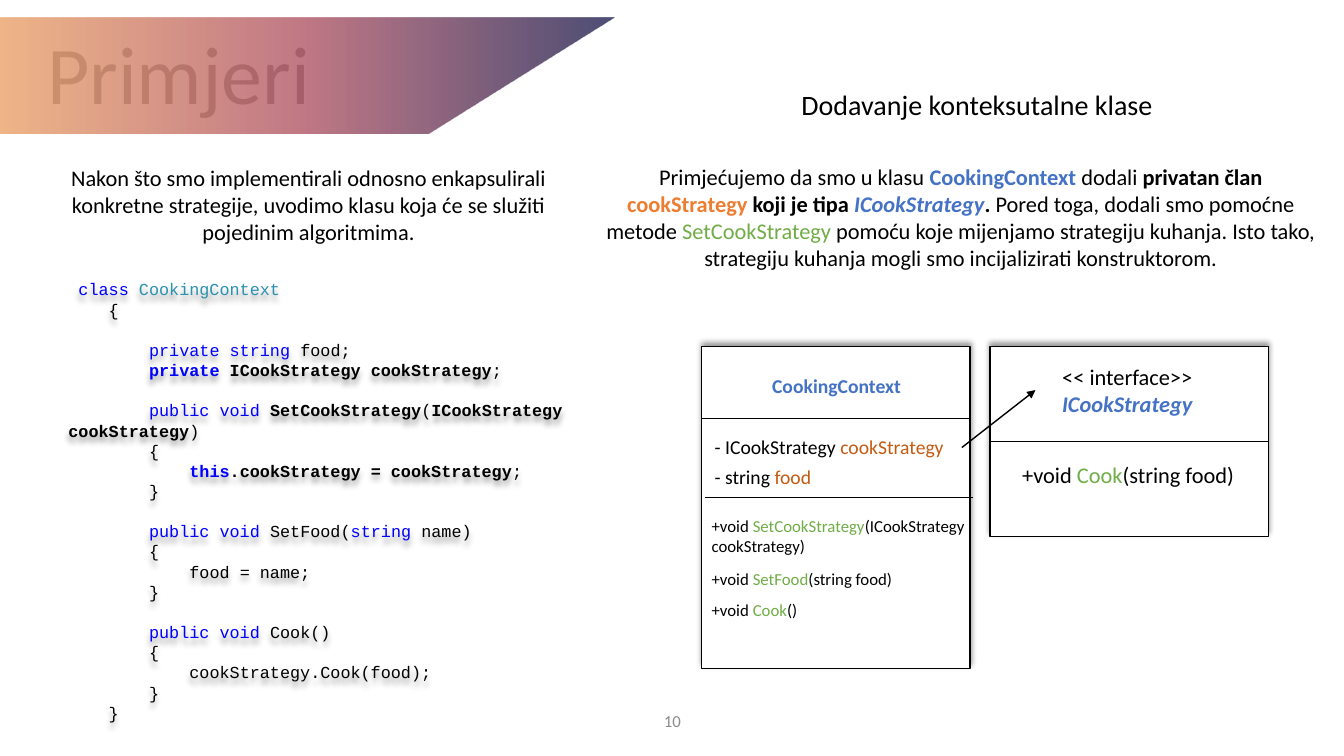
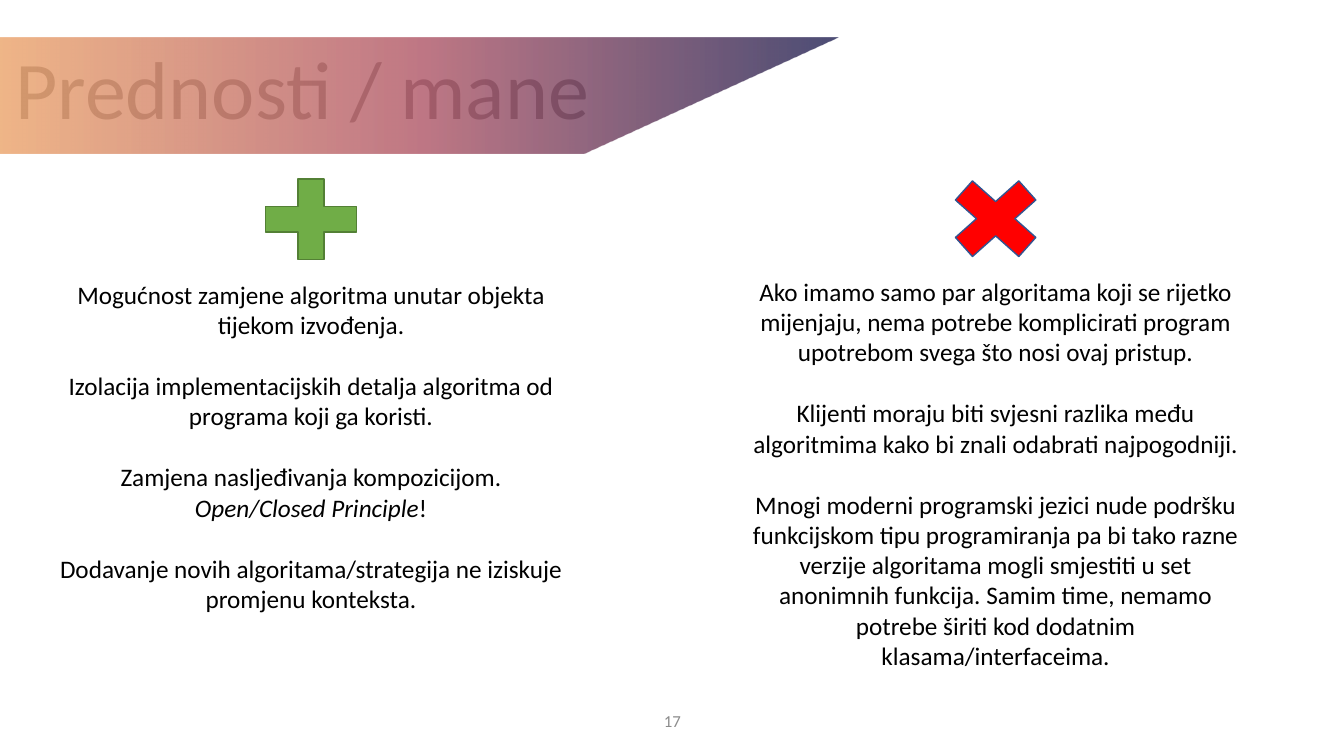
from pptx import Presentation
from pptx.dml.color import RGBColor
from pptx.enum.shapes import MSO_CONNECTOR, MSO_SHAPE
from pptx.enum.text import MSO_ANCHOR, MSO_AUTO_SIZE, PP_ALIGN
from pptx.oxml import parse_xml
from pptx.oxml.ns import nsdecls, qn
from pptx.util import Emu, Pt

PX = 9144  # 100 px to the inch
SLIDE_WIDTH, SLIDE_HEIGHT = 1333, 750
BODY_FONT, CODE_FONT = "Calibri", "Courier New"
CHAR_WIDTH = 10  # one 12 pt code character
CODE_LINE = Pt(14.4)

BLACK = RGBColor(0x00, 0x00, 0x00)
WHITE = RGBColor(0xFF, 0xFF, 0xFF)
TITLE_GRAY = RGBColor(0xA5, 0xA5, 0xA5)
NUMBER_GRAY = RGBColor(0x8C, 0x8C, 0x8C)
GREEN = RGBColor(0x70, 0xAD, 0x47)
DARK_GREEN = RGBColor(0x53, 0x80, 0x35)
BLUE = RGBColor(0x44, 0x72, 0xC4)
DARK_BLUE = RGBColor(0x32, 0x54, 0x91)
ORANGE = RGBColor(0xED, 0x7D, 0x31)
BROWN = RGBColor(0xC5, 0x5A, 0x11)
RED = RGBColor(0xFF, 0x00, 0x00)
KEYWORD = RGBColor(0x00, 0x00, 0xFF)
TYPE_NAME = RGBColor(0x2B, 0x91, 0xAF)
BAND_STOPS = (
    (0, RGBColor(0x01, 0x02, 0x3B)),
    (50, RGBColor(0xA5, 0x3F, 0x52)),
    (100, RGBColor(0xE9, 0x97, 0x57)),
)

# A span is plain text or (text, colour, marks), with marks from "b" and "i"
INTRO = ("Nakon što smo implementirali odnosno enkapsulirali konkretne strategije, "
         "uvodimo klasu koja će se služiti pojedinim algoritmima.")
EXPLANATION = [
    "Primjećujemo da smo u klasu ", ("CookingContext ", BLUE, "b"), "dodali ",
    ("privatan član ", BLACK, "b"), ("cookStrategy", ORANGE, "b"),
    (" koji je tipa ", BLACK, "b"), ("ICookStrategy", BLUE, "bi"),
    (".", BLACK, "b"), " Pored toga, dodali smo pomoćne metode ",
    ("SetCookStrategy", GREEN, ""),
    " pomoću koje mijenjamo strategiju kuhanja. Isto tako, strategiju kuhanja "
    "mogli smo incijalizirati konstruktorom.",
]
# Code lines: indent in characters, gap above, spans
CODE = [
    (1, False, [("class ", KEYWORD, ""), ("CookingContext", TYPE_NAME, "")]),
    (4, False, ["{"]),
    (8, True, [("private string ", KEYWORD, ""), "food;"]),
    (8, False, [("private", KEYWORD, "b"),
                (" ICookStrategy cookStrategy", BLACK, "b"), ";"]),
    (8, True, [("public void ", KEYWORD, ""), ("SetCookStrategy", BLACK, "b"), "(",
               ("ICookStrategy cookStrategy", BLACK, "b"), ")"]),
    (8, False, ["{"]),
    (12, False, [("this", KEYWORD, "b"),
                 (".cookStrategy = cookStrategy", BLACK, "b"), ";"]),
    (8, False, ["}"]),
    (8, True, [("public void", KEYWORD, ""), " SetFood(",
               ("string", KEYWORD, ""), " name)"]),
    (8, False, ["{"]),
    (12, False, ["food = name;"]),
    (8, False, ["}"]),
    (8, True, [("public void", KEYWORD, ""), " Cook()"]),
    (8, False, ["{"]),
    (12, False, ["cookStrategy.Cook(food);"]),
    (8, False, ["}"]),
    (4, False, ["}"]),
]
# Arguments: gap above, spans
ADVANTAGES = [
    (False, ["Mogućnost zamjene algoritma unutar objekta tijekom izvođenja."]),
    (True, ["Izolacija implementacijskih detalja algoritma od programa koji ga koristi."]),
    (True, ["Zamjena nasljeđivanja kompozicijom."]),
    (False, [("Open/Closed Principle", BLACK, "i"), "!"]),
    (True, ["Dodavanje novih algoritama/strategija ne iziskuje promjenu konteksta."]),
]
DRAWBACKS = [
    (False, ["Ako imamo samo par algoritama koji se rijetko mijenjaju, nema potrebe "
             "komplicirati program upotrebom svega što nosi ovaj pristup."]),
    (True, ["Klijenti moraju biti svjesni razlika među algoritmima kako bi znali "
            "odabrati najpogodniji."]),
    (True, ["Mnogi moderni programski jezici nude podršku funkcijskom tipu programiranja "
            "pa bi tako razne verzije algoritama mogli smjestiti u set anonimnih funkcija. "
            "Samim time, nemamo potrebe širiti kod dodatnim klasama/interfaceima."]),
]


def px(*lengths):
    return [Emu(length * PX) for length in lengths]


# Basic parts
def add_text(page, box, paragraphs, size, color=BLACK, align=PP_ALIGN.LEFT,
             anchor=MSO_ANCHOR.TOP, font=BODY_FONT):
    shape = page.shapes.add_textbox(*px(*box))
    frame = shape.text_frame
    frame.word_wrap = True
    frame.vertical_anchor = anchor
    if anchor == MSO_ANCHOR.TOP:
        frame.auto_size = MSO_AUTO_SIZE.SHAPE_TO_FIT_TEXT
    for index, spans in enumerate(paragraphs):
        para = frame.add_paragraph() if index else frame.paragraphs[0]
        para.alignment = align
        para.font.name, para.font.size = font, Pt(size)
        para.font.color.rgb = color
        for part in spans:
            span = para.add_run()
            if isinstance(part, str):
                span.text = part
                continue
            span.text, span_color, marks = part
            span.font.color.rgb = span_color
            if "b" in marks:
                span.font.bold = True
            if "i" in marks:
                span.font.italic = True
    return shape


def add_shadow(shape, distance, direction):
    shape.shadow.inherit = False
    effects = shape._element.spPr.find(qn("a:effectLst"))
    effects.append(parse_xml(
        f'<a:outerShdw {nsdecls("a")} blurRad="{Pt(4)}" dist="{Pt(distance)}" '
        f'dir="{direction * 60000}" algn="t" rotWithShape="0"><a:srgbClr val="{BLACK}">'
        '<a:alpha val="40000"/></a:srgbClr></a:outerShdw>'))


def add_preset(page, kind, box, fill, line):
    shape = page.shapes.add_shape(kind, *px(*box))
    shape.shadow.inherit = False
    shape.fill.solid()
    shape.fill.fore_color.rgb = fill
    shape.line.color.rgb = line
    shape.line.width = Pt(1)
    return shape


def add_line(page, start, end, width=0.5, arrow=False):
    line = page.shapes.add_connector(MSO_CONNECTOR.STRAIGHT, *px(*start, *end))
    line.line.color.rgb = BLACK
    line.line.width = Pt(width)
    if arrow:
        line.line._get_or_add_ln().append(
            parse_xml(f'<a:tailEnd {nsdecls("a")} type="triangle"/>'))
    line._element.spPr.append(parse_xml(f'<a:effectLst {nsdecls("a")}/>'))
    return line


# Shared frame: number, title and the translucent band over it
def add_band(page, top, width, height=115):
    builder = page.shapes.build_freeform(0, top, scale=PX)
    builder.add_line_segments([(width, top), (round(width * 0.696), top + height),
                               (0, top + height)])
    band = builder.convert_to_shape()
    band.shadow.inherit = False
    band.line.fill.background()
    stops = "".join(
        f'<a:gs pos="{place * 1000}"><a:srgbClr val="{color}">'
        '<a:alpha val="70000"/></a:srgbClr></a:gs>' for place, color in BAND_STOPS)
    band._element.spPr.find(qn("a:custGeom")).addnext(parse_xml(
        f'<a:gradFill {nsdecls("a")} rotWithShape="1"><a:gsLst>{stops}</a:gsLst>'
        '<a:lin ang="10800000" scaled="0"/></a:gradFill>'))


def add_page(deck, number, title, title_box, band_top, band_width):
    page = deck.slides.add_slide(deck.slide_layouts[6])
    add_text(page, (442, 695, 450, 40), [[number]], 12, NUMBER_GRAY,
             PP_ALIGN.CENTER, MSO_ANCHOR.MIDDLE)
    heading = add_text(page, title_box, [[title]], 58.5, TITLE_GRAY,
                       PP_ALIGN.CENTER, MSO_ANCHOR.BOTTOM)
    heading.text_frame.paragraphs[0].line_spacing = 0.9
    add_band(page, band_top, band_width)
    return page


# Regions of the example slide
def add_code(page, box):
    listing = add_text(page, box, [spans for _, _, spans in CODE], 12, font=CODE_FONT)
    add_shadow(listing, 4, 90)
    for para, (indent, gap, _) in zip(listing.text_frame.paragraphs, CODE):
        para.line_spacing = CODE_LINE
        para.space_before = CODE_LINE if gap else Pt(0)
        properties = para._p.get_or_add_pPr()
        properties.set("marL", "0")
        properties.set("indent", str(indent * CHAR_WIDTH * PX))


def add_class_box(page, box):
    left, top, width, height = box
    frame = add_preset(page, MSO_SHAPE.RECTANGLE, box, WHITE, BLACK)
    add_shadow(frame, 3, 270)
    for shift, offset in ((0, 71), (3, 149)):
        add_line(page, (left + shift, top + offset), (left + shift + width, top + offset))
    add_text(page, (left + 60, top + 22, 163, 34), [[("CookingContext", BLUE, "b")]], 14)
    add_text(page, (left + 3, top + 112, 136, 34), [["- string ", ("food", BROWN, "")]], 14)
    methods = (
        (163, "SetCookStrategy", "(ICookStrategy cookStrategy)"),
        (215, "SetFood", "(string food)"),
        (246, "Cook", "()"),
    )
    for offset, name, arguments in methods:
        add_text(page, (left, top + offset, 284, 30),
                 [["+void ", (name, GREEN, ""), arguments]], 12)
    return add_text(page, (left + 3, top + 83, 255, 34),
                    [["- ICookStrategy ", ("cookStrategy", BROWN, "")]], 14)


def add_interface_box(page, box):
    left, top, width, height = box
    frame = add_preset(page, MSO_SHAPE.RECTANGLE, box, WHITE, BLACK)
    add_shadow(frame, 3, 270)
    middle = top + height // 2
    divider = add_line(page, (left, middle), (left + width, middle))
    divider.begin_connect(frame, 1)
    divider.end_connect(frame, 3)
    add_text(page, (left + 22, top + 109, 245, 37),
             [["+void ", ("Cook", GREEN, ""), "(string food)"]], 16)
    return add_text(page, (left + 45, top + 11, 182, 64),
                    [["<< interface>>"], [("ICookStrategy", BLUE, "bi")]], 16,
                    align=PP_ALIGN.CENTER)


def build_example(deck):
    page = add_page(deck, "10", "Primjeri", (14, 22, 327, 104), 17, 609)
    center = PP_ALIGN.CENTER
    add_text(page, (604, 82, 730, 44), [["Dodavanje konteksutalne klase"]], 20, align=center)
    add_text(page, (57, 158, 498, 91), [[INTRO]], 16, align=center)
    add_text(page, (588, 157, 730, 118), [EXPLANATION], 16, align=center)
    add_code(page, (58, 272, 609, 434))
    field = add_class_box(page, (696, 344, 266, 319))
    interface = add_interface_box(page, (982, 344, 276, 188))
    arrow = add_line(page, (953, 444), (1027, 387), 1, arrow=True)
    arrow.begin_connect(field, 3)
    arrow.end_connect(interface, 1)


# Regions of the comparison slide
def add_arguments(page, box, arguments):
    column = add_text(page, box, [spans for _, spans in arguments], 18,
                      align=PP_ALIGN.CENTER)
    for para, (gap, _) in zip(column.text_frame.paragraphs, arguments):
        para.space_before = Pt(22 if gap else 0)


def build_comparison(deck):
    page = add_page(deck, "17", "Prednosti / mane", (0, 15, 600, 126), 37, 832)
    add_arguments(page, (36, 272, 545, 343), ADVANTAGES)
    add_arguments(page, (726, 269, 523, 404), DRAWBACKS)
    add_preset(page, MSO_SHAPE.MATH_PLUS, (247, 163, 123, 109), GREEN, DARK_GREEN)
    add_preset(page, MSO_SHAPE.MATH_MULTIPLY, (927, 163, 121, 108), RED, DARK_BLUE)


def main():
    deck = Presentation()
    deck.slide_width, deck.slide_height = px(SLIDE_WIDTH, SLIDE_HEIGHT)
    build_example(deck)
    build_comparison(deck)
    deck.save("out.pptx")


if __name__ == "__main__":
    main()
